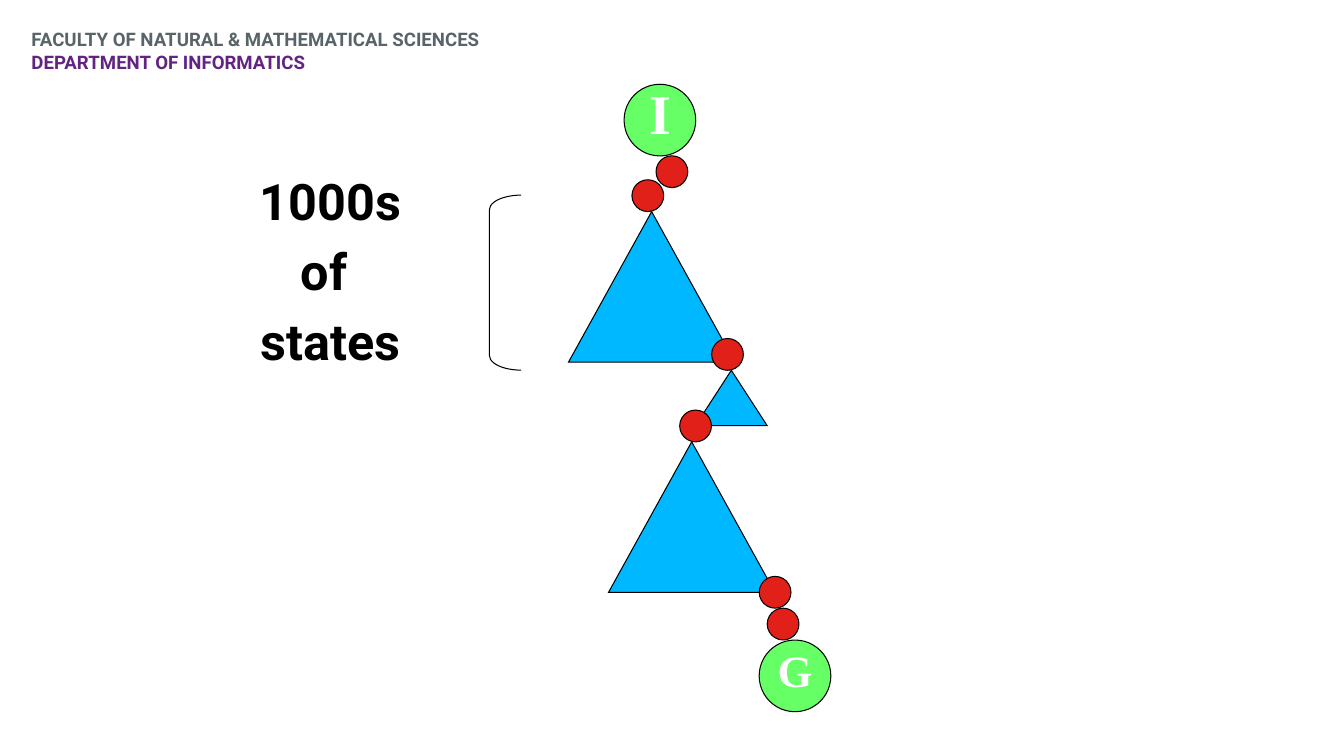
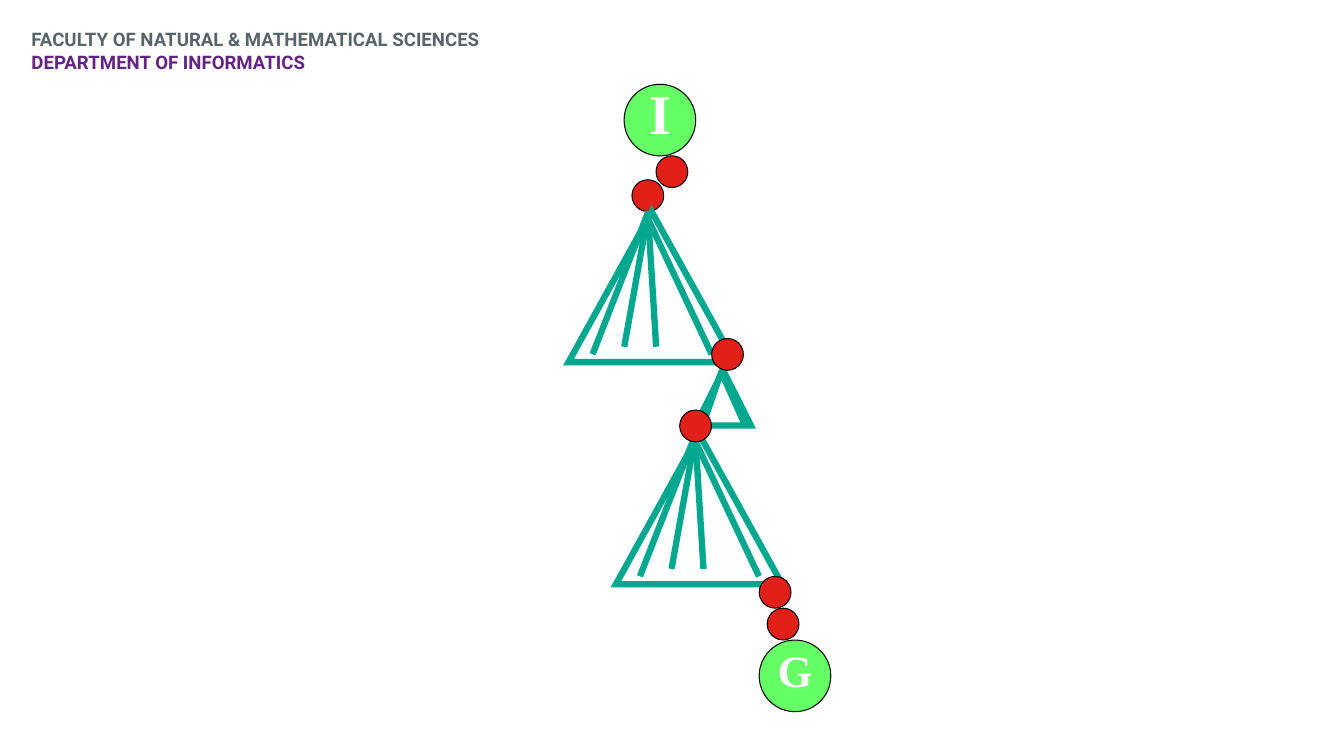
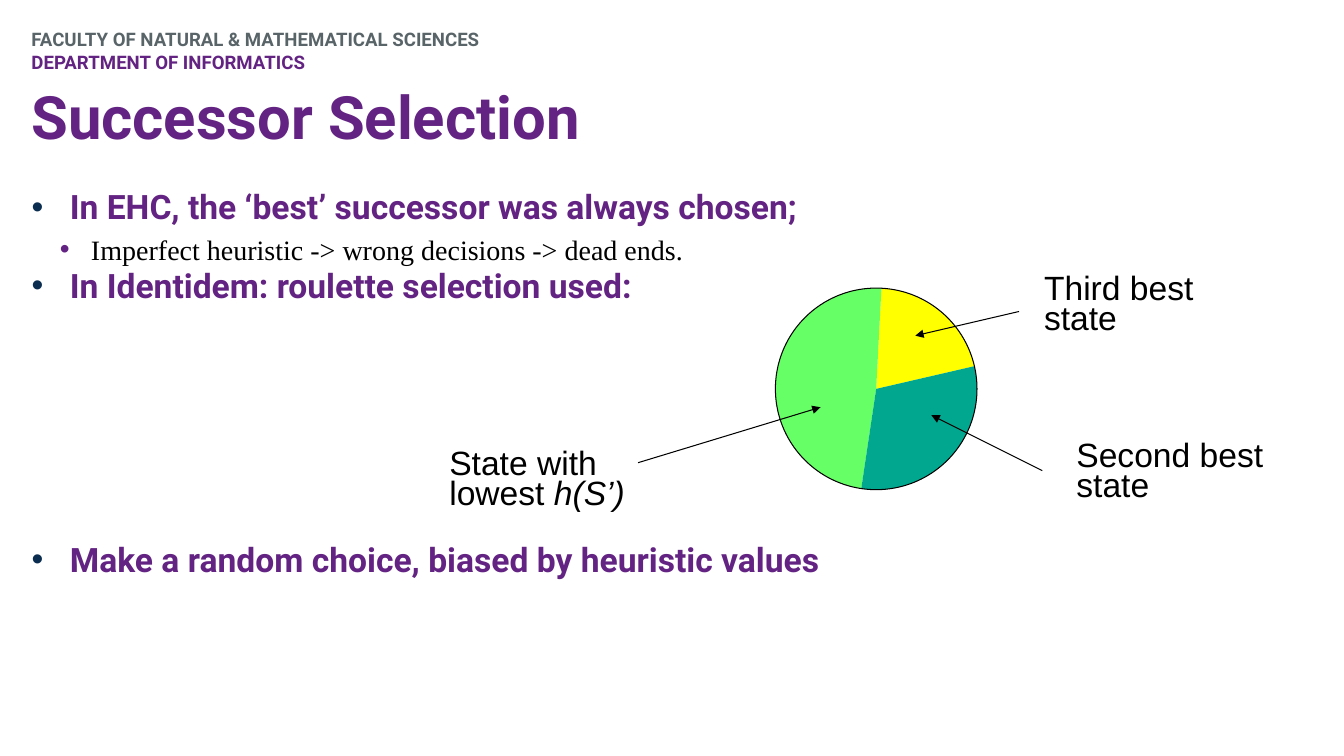
"""Build three slides on local search: two search landscapes and roulette selection."""
from lxml.etree import SubElement
from pptx import Presentation
from pptx.dml.color import RGBColor
from pptx.enum.shapes import MSO_CONNECTOR, MSO_SHAPE as SHAPE
from pptx.enum.text import MSO_ANCHOR as ANCHOR, MSO_AUTO_SIZE as AUTO, PP_ALIGN as ALIGN
from pptx.oxml.ns import qn
from pptx.util import Pt

COLORS = {"grey": "596469", "purple": "632382", "navy": "0A2D50", "black": "000000",
          "white": "FFFFFF", "blue": "00B8FF", "red": "E12119", "green": "66FF66",
          "teal": "01A88F", "yellow": "FFFF00"}
SANS, SERIF, LABEL = "Roboto", "Times New Roman", "Arial"
TIGHT = 0.74
MARGIN = 22.5

HEADER = [("FACULTY OF NATURAL & MATHEMATICAL SCIENCES", "grey"),
          ("DEPARTMENT OF INFORMATICS", "purple")]

DOT, STATE = 22.7, 51.2
DOTS = [(468.6, 111.3), (451.4, 128.4), (508.3, 241.8),
        (485.5, 292.9), (542.3, 411.7), (548, 434.4)]
STATES = [("I", 40, 445.8, 60.2), ("G", 32, 542.3, 457.2)]
PLATEAUS = [(434.7, 315.6, 118.8, 107.5), (496.8, 264.5, 51.2, 39.5),
            (406.1, 151.2, 118.8, 107.5)]
BRACKET = (349.6, 139.4, 22.7, 125)
COUNT = ["1000s", "of ", "states"]

WIDE_RAYS = [(57, 0, 17.2, 101.8), (57, 0, 39.8, 96.5),
             (57, 5.7, 62.6, 96.5), (57, 5.7, 102.2, 101.8)]
NARROW_RAYS = [(18.8, 0, 5.8, 37.4), (18.8, 2.2, 34.6, 37.4)]
FANS = [((406.1, 151.2, 118.8, 107.5), WIDE_RAYS),
        ((439.9, 309.9, 118.8, 107.5), WIDE_RAYS),
        ((496.8, 264.5, 39.6, 39.5), NARROW_RAYS)]

TITLE = "Successor Selection"
BULLETS = [(0, "In EHC, the ‘best’ successor was always chosen;", 0),
           (1, "Imperfect heuristic -> wrong decisions -> dead ends.", 0),
           (0, "In Identidem: roulette selection used:", 0),
           (0, "Make a random choice, biased by heuristic values", 168)]
LEVELS = [dict(left=27.4, hang=27.4, bullet="navy", size=24, font=SANS, color="purple", bold=True),
          dict(left=42.5, hang=22.3, bullet="purple", size=20, font=SERIF, color="black", bold=False)]

WHEEL = (553.9, 205.8, 144, 144)
SLICES = [("yellow", 273, 347), ("green", 98.5, 273), ("teal", 347, 98.5)]
LABELS = [([("State with lowest ", False), ("h(S’)", True)], (313.9, 319, 141.8, 50.4),
           (455.8, 330.5, 586.1, 290.9)),
          ([("Second best state", False)], (761.8, 313.2, 153.4, 50.4),
           (744.5, 336.2, 665.3, 296.6)),
          ([("Third best state", False)], (738.7, 194.4, 153.4, 50.4),
           (727.9, 222.5, 653.8, 239.8))]


def rgb(name):
    return RGBColor.from_string(COLORS[name])


def style(r, size, font, color, bold=False, italic=False):
    r.font.size, r.font.name = Pt(size), font
    r.font.bold, r.font.italic = bold, italic
    r.font.color.rgb = rgb(color)


def set_line(sp, color="black", width=0.75):
    sp.line.color.rgb, sp.line.width = rgb(color), Pt(width)


def shape(s, kind, box, fill=None, line="black", width=0.75):
    sp = s.shapes.add_shape(kind, *map(Pt, box))
    sp.shadow.inherit = False
    if fill:
        sp.fill.solid()
        sp.fill.fore_color.rgb = rgb(fill)
    else:
        sp.fill.background()
    if line:
        set_line(sp, line, width)
        SubElement(sp.line._get_or_add_ln(), qn("a:miter"), lim="800000")
    else:
        sp.line.fill.background()
    return sp


def connector(s, ends, color="black", width=0.75, arrow=False):
    cn = s.shapes.add_connector(MSO_CONNECTOR.STRAIGHT, *map(Pt, ends))
    set_line(cn, color, width)
    if arrow:
        SubElement(cn.line._get_or_add_ln(), qn("a:tailEnd"), type="triangle")
    SubElement(cn._element.spPr, qn("a:effectLst"))


def textbox(s, box):
    sp = s.shapes.add_textbox(*map(Pt, box))
    sp.text_frame.word_wrap = True
    return sp


def place(sp, box):
    sp.left, sp.top, sp.width, sp.height = map(Pt, box)
    flush(sp.text_frame)
    return sp.text_frame


def flush(tf):
    tf.margin_left = tf.margin_top = tf.margin_right = tf.margin_bottom = 0
    tf.vertical_anchor, tf.auto_size = ANCHOR.TOP, AUTO.NONE


def add_header(prs, s):
    sp = textbox(s, (MARGIN, 20.2, 643, 32.4))
    tf = sp.text_frame
    flush(tf)
    tf.text = "\n".join(text for text, _ in HEADER)
    for p, (_, color) in zip(tf.paragraphs, HEADER):
        style(p.runs[0], 13.3, SANS, color, bold=True)
    prs.slide_master.element.cSld.spTree.append(sp._element)


def add_dots(s, dots):
    for x, y in dots:
        shape(s, SHAPE.OVAL, (x, y, DOT, DOT), "red")


def add_states(s):
    for name, size, x, y in STATES:
        tf = shape(s, SHAPE.OVAL, (x, y, STATE, STATE), "green").text_frame
        tf.text, tf.word_wrap, tf.vertical_anchor = name, False, ANCHOR.MIDDLE
        p = tf.paragraphs[0]
        p.alignment, p.line_spacing = ALIGN.CENTER, TIGHT
        style(p.runs[0], size, SERIF, "white", bold=True)


def add_plateaus(s):
    for box in PLATEAUS:
        shape(s, SHAPE.ISOSCELES_TRIANGLE, box, "blue")


def add_fans(s):
    for box, rays in FANS:
        shape(s, SHAPE.ISOSCELES_TRIANGLE, box, None, "teal", 4.5)
        x, y = box[:2]
        for x1, y1, x2, y2 in rays:
            connector(s, (x + x1, y + y1, x + x2, y + y2), "teal", 4.5)


def add_search(s, add_regions):
    add_dots(s, DOTS[:2])
    add_regions(s)
    add_dots(s, DOTS[2:])
    add_states(s)


def add_count(s):
    shape(s, SHAPE.LEFT_BRACKET, BRACKET).adjustments[0] = 0.459
    tf = textbox(s, (145.4, 128.2, 181.4, 148.3)).text_frame
    tf.text = "\n".join(COUNT)
    for i, p in enumerate(tf.paragraphs):
        p.alignment, p.line_spacing = ALIGN.CENTER, TIGHT
        p.space_before = Pt(18 if i else 0)
        style(p.runs[0], 36, SANS, "black", bold=True)


def add_bullets(tf):
    tf.text = "\n".join(text for _, text, _ in BULLETS)
    for p, (level, _, gap) in zip(tf.paragraphs, BULLETS):
        look = LEVELS[level]
        p.level, p.line_spacing, p.space_before = level, Pt(28), Pt(gap)
        pPr = p._p.get_or_add_pPr()
        pPr.set("marL", str(Pt(look["left"])))
        pPr.set("indent", str(-Pt(look["hang"])))
        SubElement(SubElement(pPr, qn("a:buClr")), qn("a:srgbClr"), val=COLORS[look["bullet"]])
        SubElement(pPr, qn("a:buFont"), typeface=LABEL)
        SubElement(pPr, qn("a:buChar"), char="•")
        style(p.runs[0], look["size"], look["font"], look["color"], look["bold"])


def add_wheel(s):
    for color, start, end in SLICES:
        sp = shape(s, SHAPE.PIE, WHEEL, color, None)
        for i, angle in enumerate((start, end)):
            sp.adjustments[i] = angle * 0.6
    shape(s, SHAPE.OVAL, WHEEL)
    for runs, box, arrow in LABELS:
        connector(s, arrow, arrow=True)
        p = textbox(s, box).text_frame.paragraphs[0]
        p.line_spacing = TIGHT
        for text, italic in runs:
            r = p.add_run()
            r.text = text
            style(r, 24, LABEL, "black", italic=italic)


def main():
    prs = Presentation()
    prs.slide_width, prs.slide_height = Pt(960), Pt(540)
    content, blank = prs.slide_layouts[1], prs.slide_layouts[6]

    s = prs.slides.add_slide(blank)
    add_header(prs, s)
    add_search(s, add_plateaus)
    add_count(s)

    add_search(prs.slides.add_slide(blank), add_fans)

    s = prs.slides.add_slide(content)
    tf = place(s.shapes.title, (MARGIN, 56.9, 828, 56.9))
    tf.text = TITLE
    tf.paragraphs[0].alignment = ALIGN.LEFT
    style(tf.paragraphs[0].runs[0], 42.7, SANS, "purple", bold=True)
    add_bullets(place(s.placeholders[1], (MARGIN, 133.9, 828, 357)))
    add_wheel(s)

    prs.save("out.pptx")


if __name__ == "__main__":
    main()
